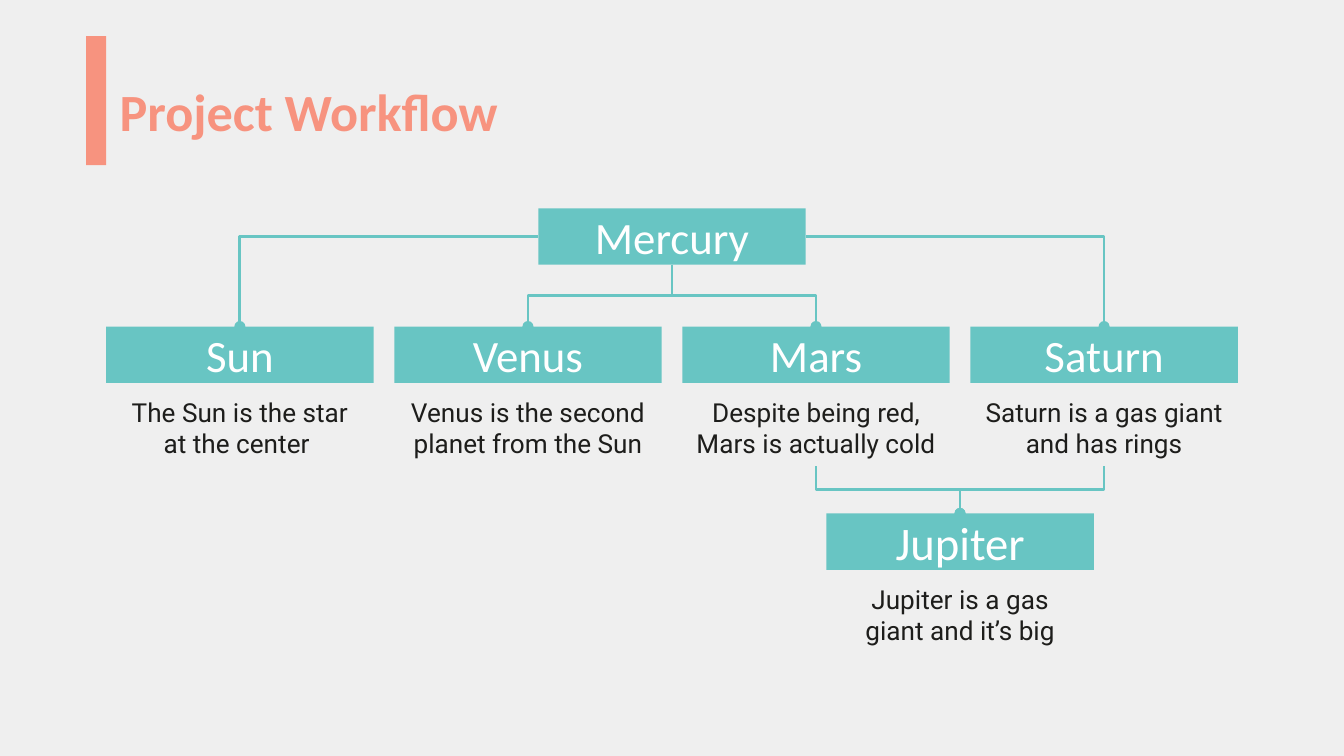
from dataclasses import dataclass

from lxml import etree
from pptx import Presentation
from pptx.dml.color import RGBColor
from pptx.enum.shapes import MSO_CONNECTOR, MSO_SHAPE
from pptx.enum.text import MSO_ANCHOR, PP_ALIGN
from pptx.oxml.ns import qn
from pptx.util import Inches, Pt

RECTANGLE = MSO_SHAPE.RECTANGLE
ELBOW = MSO_CONNECTOR.ELBOW
TOP, MIDDLE = MSO_ANCHOR.TOP, MSO_ANCHOR.MIDDLE
LEFT, CENTER = PP_ALIGN.LEFT, PP_ALIGN.CENTER

TEAL, CORAL, INK, WHITE, PAPER = "68C5C3", "F7937F", "1D1D1B", "FFFFFF", "EFEFEF"

# Grid in inches: four columns, which may be taken fractionally
GRID_LEFT, LAST_LEFT, BOX_WIDTH = 0.79, 7.22, 1.99
COLUMN_PITCH = (LAST_LEFT - GRID_LEFT) / 3
BOX_HEIGHT, NOTE_HEIGHT = 0.42, 0.62
ROW_TOPS = (1.55, 2.43, 3.82)
QUARTER_TURN = 5400000


@dataclass
class Step:
    name: str
    column: float
    row: int
    note: str = ""
    size: int = 24

    @property
    def left(self) -> float:
        return GRID_LEFT + self.column * COLUMN_PITCH

    @property
    def center(self) -> float:
        return self.left + BOX_WIDTH / 2

    @property
    def top(self) -> float:
        return ROW_TOPS[self.row]

    @property
    def bottom(self) -> float:
        return self.top + BOX_HEIGHT + (NOTE_HEIGHT if self.note else 0)


def color(value: str) -> RGBColor:
    return RGBColor.from_string(value)


def write(shape, text: str, font: str, size: int, ink: str,
          align=CENTER, anchor=TOP, bold: bool = False) -> None:
    frame = shape.text_frame
    frame.text = text
    frame.word_wrap = True
    frame.vertical_anchor = anchor
    frame.margin_left = frame.margin_right = Inches(0.1)
    frame.margin_top = frame.margin_bottom = Inches(0.1)
    para = frame.paragraphs[0]
    para.alignment = align
    para.line_spacing = 1.0
    span = para.runs[0].font
    span.name, span.size, span.bold = font, Pt(size), bold
    span.color.rgb = color(ink)


def add_block(page, left: float, top: float, width: float, height: float, fill: str):
    block = page.shapes.add_shape(
        RECTANGLE, Inches(left), Inches(top), Inches(width), Inches(height))
    block.shadow.inherit = False
    block.fill.solid()
    block.fill.fore_color.rgb = color(fill)
    block.line.fill.background()
    return block


def add_step(page, step: Step) -> None:
    if step.note:
        note = page.shapes.add_textbox(
            Inches(step.left), Inches(step.top + BOX_HEIGHT),
            Inches(BOX_WIDTH), Inches(NOTE_HEIGHT))
        write(note, step.note, "Roboto", 14, INK)
    box = add_block(page, step.left, step.top, BOX_WIDTH, BOX_HEIGHT, TEAL)
    write(box, step.name, "Calibri", step.size, WHITE, anchor=MIDDLE)


def add_elbow(page, x1: float, y1: float, x2: float, y2: float):
    link = page.shapes.add_connector(ELBOW, Inches(x1), Inches(y1), Inches(x2), Inches(y2))
    link.line.color.rgb = color(TEAL)
    link.line.width = Pt(1.5)
    etree.SubElement(link.line._ln, qn("a:tailEnd"), type="oval")
    etree.SubElement(link._element.spPr, qn("a:effectLst"))
    return link


def link_from_side(page, parent: Step, child: Step) -> None:
    """Run sideways out of the parent, then down to the child."""
    side = parent.left + (BOX_WIDTH if child.column > parent.column else 0)
    link = add_elbow(page, side, parent.top + BOX_HEIGHT / 2, child.center, child.top)
    link._element.spPr.find(qn("a:prstGeom")).set("prst", "bentConnector2")


def link_from_bottom(page, parent: Step, child: Step) -> None:
    """Run down, across and down: a horizontal elbow given a quarter turn."""
    middle_x = (parent.center + child.center) / 2
    middle_y = (parent.bottom + child.top) / 2
    across = abs(child.center - parent.center) / 2
    down = (child.top - parent.bottom) / 2
    rightward = child.center > parent.center
    reach = -down if rightward else down
    link = add_elbow(page, middle_x - reach, middle_y - across,
                     middle_x + reach, middle_y + across)
    turns = 3 if rightward else 1
    link._element.spPr.find(qn("a:xfrm")).set("rot", str(turns * QUARTER_TURN))


def main() -> None:
    deck = Presentation()
    deck.slide_width = Inches(10)
    deck.slide_height = deck.slide_width * 9 // 16
    page = deck.slides.add_slide(deck.slide_layouts[5])
    page.background.fill.solid()
    page.background.fill.fore_color.rgb = color(PAPER)

    # Title with its accent bar
    title = page.shapes.title
    title.left, title.top = Inches(GRID_LEFT), Inches(0.49)
    title.width, title.height = Inches(8.43), Inches(0.63)
    write(title, "Project Workflow", "Calibri", 28, CORAL, align=LEFT, bold=True)
    add_block(page, 0.64, 0.27, 0.15, 0.96, CORAL)

    # Workflow steps
    mercury = Step("Mercury", 1.5, 0)
    sun = Step("Sun", 0, 1, "The Sun is the star at the center ")
    venus = Step("Venus", 1, 1, "Venus is the second planet from the Sun")
    mars = Step("Mars", 2, 1, "Despite being red, Mars is actually cold ")
    saturn = Step("Saturn", 3, 1, "Saturn is a gas giant and has rings")
    jupiter = Step("Jupiter", 2.5, 2, "Jupiter is a gas giant and it’s big", 25)
    for step in (sun, venus, mars, saturn, mercury, jupiter):
        add_step(page, step)

    # Links between steps
    for child in (sun, saturn):
        link_from_side(page, mercury, child)
    for parent, child in ((mercury, mars), (mercury, venus),
                          (mars, jupiter), (saturn, jupiter)):
        link_from_bottom(page, parent, child)

    deck.save("out.pptx")


if __name__ == "__main__":
    main()
